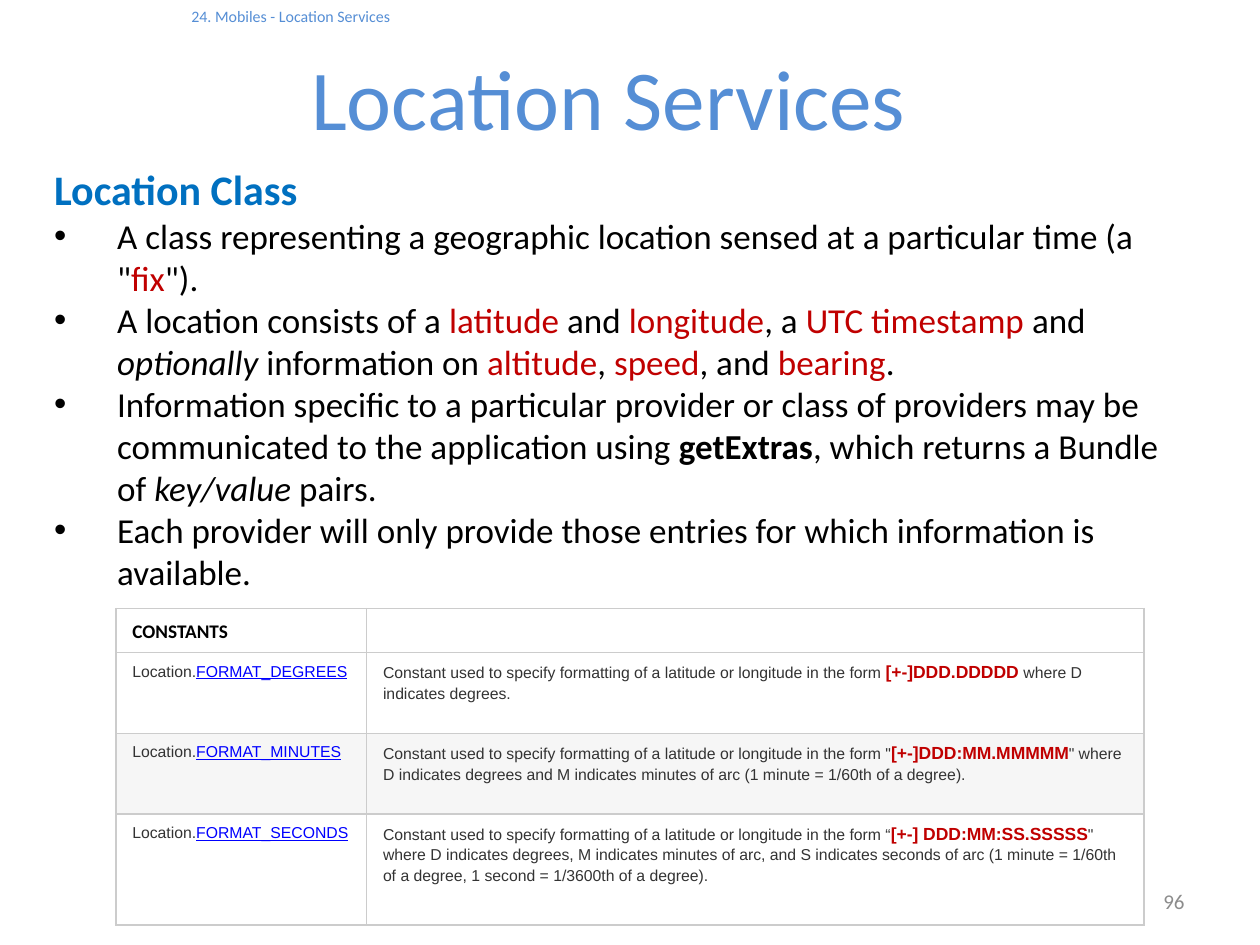
import pptx
import pptx.util
import pptx.dml.color
import pptx.enum.text
from lxml import etree
from pptx.oxml.ns import qn

Inches, Pt = pptx.util.Inches, pptx.util.Pt
ALIGN, ANCHOR = pptx.enum.text.PP_ALIGN, pptx.enum.text.MSO_ANCHOR

THEME = {
    "heading_font": "Calibri", "table_font": "Arial",
    "title": "558ED5", "heading": "0070C0", "text": "000000", "key": "C00000",
    "number": "8C8C8C", "cell": "333333", "link": "0000FF",
    "border": "CCCCCC", "band": "F6F6F6",
    "breadcrumb_size": 9.1, "title_size": 48.7, "heading_size": 24, "body_size": 20,
    "number_size": 12, "table_head_size": 11, "cell_size": 9, "format_size": 10,
}

# Changes that a marked span makes to the style of its paragraph
MARKS = {
    "key": {"color": THEME["key"]},
    "italic": {"italic": True},
    "bold": {"bold": True},
    "link": {"color": THEME["link"], "underline": True},
    "format": {"color": THEME["key"], "bold": True, "size": THEME["format_size"]},
}

BREADCRUMB = "24. Mobiles - Location Services"
TITLE = "Location Services"
PAGE_NUMBER = "96"
HEADING = "Location Class"
BULLETS = [
    ["A class representing a geographic location sensed at a particular time (a \"",
     ("fix", "key"), "\")."],
    ["A location consists of a ", ("latitude", "key"), " and ", ("longitude", "key"),
     ", a ", ("UTC timestamp", "key"), " and ", ("optionally", "italic"),
     " information on ", ("altitude", "key"), ", ", ("speed", "key"), ", and ",
     ("bearing", "key"), "."],
    ["Information specific to a particular provider or class of providers may be "
     "communicated to the application using ", ("getExtras", "bold"),
     ", which returns a Bundle of ", ("key/value", "italic"), " pairs."],
    ["Each provider will only provide those entries for which information is available."],
]
TABLE_HEAD = "CONSTANTS"
FORM = "Constant used to specify formatting of a latitude or longitude in the form "
CONSTANTS = [
    ("FORMAT_DEGREES",
     [FORM, ("[+-]DDD.DDDDD ", "format"), "where D indicates degrees."]),
    ("FORMAT_MINUTES",
     [FORM + "\"", ("[+-]DDD:MM.MMMMM", "format"),
      "\" where D indicates degrees and M indicates minutes of arc "
      "(1 minute = 1/60th of a degree)."]),
    ("FORMAT_SECONDS",
     [FORM + "“", ("[+-] DDD:MM:SS.SSSSS", "format"),
      "\" where D indicates degrees, M indicates minutes of arc, and S indicates seconds "
      "of arc (1 minute = 1/60th of a degree, 1 second = 1/3600th of a degree)."]),
]
COLUMN_WIDTHS = [1.99, 6.17]
ROW_HEIGHTS = [0.35, 0.64, 0.64, 0.88]
LEFT, WIDTH = 0.33, 9


def style(size, color, font="heading_font", **changes):
    return {"size": THEME[size], "color": THEME[color], "font": THEME[font], **changes}


def write(para, spans, base):
    """Fill a paragraph with plain strings and (text, mark) pairs."""
    for item in spans:
        text, mark = (item, None) if isinstance(item, str) else item
        look = {**base, **MARKS.get(mark, {})}
        span = para.add_run()
        span.text = text
        font = span.font
        font.name, font.size = look["font"], Pt(look["size"])
        font.color.rgb = pptx.dml.color.RGBColor.from_string(look["color"])
        font.bold = look.get("bold", False)
        font.italic = look.get("italic", False)
        font.underline = look.get("underline", False)


def place(box, left, top, width, height, anchor=ANCHOR.TOP, pad=0.05):
    box.left, box.top = Inches(left), Inches(top)
    box.width, box.height = Inches(width), Inches(height)
    frame = box.text_frame
    frame.word_wrap, frame.auto_size = True, pptx.enum.text.MSO_AUTO_SIZE.NONE
    frame.vertical_anchor = anchor
    frame.margin_left = frame.margin_right = Inches(0.1)
    frame.margin_top = frame.margin_bottom = Inches(pad)
    return frame


def set_bullet(para, symbol, indent):
    """Give a hanging bullet, or none when symbol is None."""
    properties = para._p.get_or_add_pPr()
    properties.set("marL", str(Inches(indent)))
    properties.set("indent", str(-Inches(indent)))
    if symbol:
        etree.SubElement(properties, qn("a:buFont"), typeface="Arial")
        etree.SubElement(properties, qn("a:buChar"), char=symbol)
    else:
        etree.SubElement(properties, qn("a:buNone"))
    para.space_before = Pt(0)


def set_borders(cell):
    properties = cell._tc.get_or_add_tcPr()
    for side in ("lnL", "lnR", "lnT", "lnB"):
        line = etree.SubElement(properties, qn("a:" + side), w=str(Pt(1)))
        fill = etree.SubElement(line, qn("a:solidFill"))
        etree.SubElement(fill, qn("a:srgbClr"), val=THEME["border"])


def add_header(page):
    box = page.shapes.add_textbox(0, 0, 0, 0)
    frame = place(box, 1.42, 0.05, 4, 0.2, pad=0)
    write(frame.paragraphs[0], [BREADCRUMB], style("breadcrumb_size", "title"))
    frame = place(page.shapes.title, LEFT, 0.36, WIDTH, 0.85, pad=0)
    frame.paragraphs[0].alignment = ALIGN.CENTER
    write(frame.paragraphs[0], [TITLE], style("title_size", "title"))


def add_body(page):
    frame = place(page.placeholders[1], LEFT, 1.25, WIDTH, 3.55)
    heading = frame.paragraphs[0]
    set_bullet(heading, None, 0)
    write(heading, [HEADING], style("heading_size", "heading", bold=True))
    for spans in BULLETS:
        para = frame.add_paragraph()
        set_bullet(para, "•", 0.5)
        write(para, spans, style("body_size", "text"))


def add_constants(page):
    cell_style = style("cell_size", "cell", "table_font")
    head_style = style("table_head_size", "text", bold=True)
    rows = [([TABLE_HEAD], [])]
    rows += [(["Location.", (name, "link")], meaning) for name, meaning in CONSTANTS]
    table = page.shapes.add_table(
        len(rows), len(COLUMN_WIDTHS), Inches(0.92), Inches(4.83),
        Inches(sum(COLUMN_WIDTHS)), Inches(sum(ROW_HEIGHTS))).table
    table.first_row = table.horz_banding = False
    for column, width in zip(table.columns, COLUMN_WIDTHS):
        column.width = Inches(width)
    for index, (row, height, contents) in enumerate(zip(table.rows, ROW_HEIGHTS, rows)):
        row.height = Inches(height)
        for cell, spans in zip(row.cells, contents):
            cell.margin_left = cell.margin_right = Inches(0.13)
            cell.margin_top = cell.margin_bottom = Inches(0.06)
            set_borders(cell)
            if index == 2:
                cell.fill.solid()
                cell.fill.fore_color.rgb = pptx.dml.color.RGBColor.from_string(THEME["band"])
            else:
                cell.fill.background()
            para = cell.text_frame.paragraphs[0]
            para.line_spacing = 1.15
            para.font.size = Pt(THEME["cell_size"])
            write(para, spans, cell_style if index else head_style)


def add_page_number(page):
    box = page.shapes.add_textbox(0, 0, 0, 0)
    para = place(box, 7.17, 6.95, 2.33, 0.4, ANCHOR.MIDDLE).paragraphs[0]
    para.alignment = ALIGN.RIGHT
    write(para, [PAGE_NUMBER], style("number_size", "number"))


def main():
    deck = pptx.Presentation()
    deck.slide_width, deck.slide_height = Inches(10), Inches(7.5)
    page = deck.slides.add_slide(deck.slide_layouts[1])
    add_header(page)
    add_page_number(page)
    add_body(page)
    add_constants(page)
    deck.save("out.pptx")


if __name__ == "__main__":
    main()
